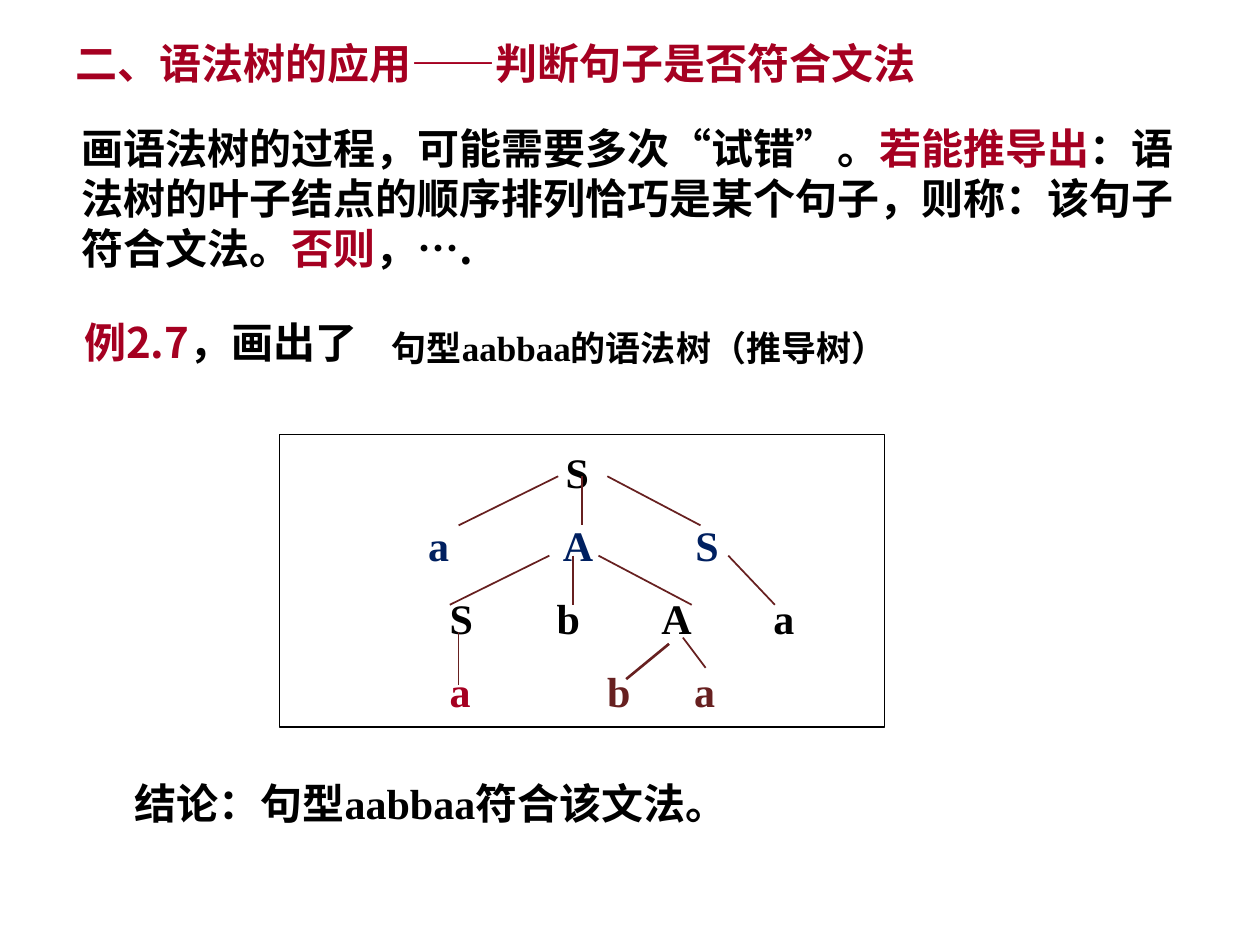
"""Build a slide that shows how a syntax tree decides whether a sentence fits a grammar."""
from lxml.etree import SubElement
from pptx import Presentation
from pptx.dml.color import RGBColor
from pptx.enum.shapes import MSO_CONNECTOR as Connector, MSO_SHAPE as Shape
from pptx.enum.text import MSO_ANCHOR as Anchor, PP_ALIGN as Align
from pptx.oxml.ns import qn
from pptx.util import Inches, Pt

BLACK = RGBColor(0x00, 0x00, 0x00)
RED = RGBColor(0xA5, 0x00, 0x21)
NAVY = RGBColor(0x00, 0x20, 0x60)
BROWN = RGBColor(0x67, 0x20, 0x20)

SANS = "Noto Sans CJK SC"
SERIF = "Times New Roman"
NARROW = "Arial Narrow"

WIDTH, HEIGHT = Inches(10), Inches(7.5)
COLUMNS, ROWS = 100, 75

TEXTS = [
    ((5, 2.5, 85, 5), NARROW, 24, [("二、语法树的应用——判断句子是否符合文法", RED)]),
    ((5.5, 9.2, 91.9, 13.1), SANS, 24, [
        ("画语法树的过程，可能需要多次“试错”。", BLACK),
        ("若能推导出", RED),
        ("：语法树的叶子结点的顺序排列恰巧是某个句子，则称：该句子符合文法。", BLACK),
        ("否则", RED),
        ("，….", BLACK),
    ]),
    ((5.7, 24.6, 91.9, 5), SANS, 24, [("例2.7", RED), ("，画出了", BLACK)]),
    ((30.1, 25.4, 45.9, 4.4), SERIF, 20, [("句型aabbaa的语法树（推导树）", BLACK)]),
    ((9.7, 61.2, 78.1, 5), SERIF, 24, [("结论：句型aabbaa符合该文法。", BLACK)]),
]

TREE_FRAME = (22.2, 34.5, 48, 23.2)
TREE_LEVELS = [
    [("S", 21.7, BLACK)],
    [("a", 10.8, NAVY), ("A", 21.5, NAVY), ("S", 32, NAVY)],
    [("S", 12.5, BLACK), ("b", 21, BLACK), ("A", 29.3, BLACK), ("a", 38.2, BLACK)],
    [("a", 12.5, RED), ("b", 25, BROWN), ("a", 31.9, BROWN)],
]

FAN_CENTRES = [(46.2, 37.8), (45.5, 44.1)]
FAN_SPREAD = [(-1.9, -9.8), (0, 0), (2, 9.4)]
FAN_DROP = 3.9
SINGLE_BRANCHES = [
    ((57.8, 44.1), (61.5, 48), 1),
    ((36.4, 50.2), (36.4, 54.4), 1),
    ((53.1, 51.1), (49.7, 53.9), 1.5),
    ((54.2, 50.6), (56, 53), 1),
]


def across(columns):
    """Return the length of a number of grid columns."""
    return round(WIDTH * columns / COLUMNS)


def down(rows):
    """Return the length of a number of grid rows."""
    return round(HEIGHT * rows / ROWS)


def place(area):
    """Turn a grid area into left, top, width and height."""
    left, top, width, height = area
    return across(left), down(top), across(width), down(height)


def add_span(para, text, color, font, size):
    """Add one bold run to a paragraph."""
    span = para.add_run()
    span.text = text
    span.font.name, span.font.size, span.font.bold = font, Pt(size), True
    span.font.color.rgb = color
    SubElement(span.font._element, qn("a:ea")).set("typeface", SANS)


def add_text(page, area, font, size, spans):
    """Add a wrapping text box made of coloured spans."""
    box = page.shapes.add_textbox(*place(area))
    box.text_frame.word_wrap = True
    for text, color in spans:
        add_span(box.text_frame.paragraphs[0], text, color, font, size)


def set_tabs(para, stops):
    """Give a paragraph left tab stops at grid columns."""
    tabs = SubElement(para._p.get_or_add_pPr(), qn("a:tabLst"))
    for stop in stops:
        tab = SubElement(tabs, qn("a:tab"))
        tab.set("pos", str(across(stop)))
        tab.set("algn", "l")


def add_tree_letters(page):
    """Add the framed box whose paragraphs are the levels of the tree."""
    box = page.shapes.add_shape(Shape.RECTANGLE, *place(TREE_FRAME))
    box.shadow.inherit = False
    box.fill.background()
    box.line.color.rgb = BLACK
    box.line.width = Pt(0.75)
    frame = box.text_frame
    frame.vertical_anchor = Anchor.TOP
    frame.margin_top = down(0.9)
    for index, level in enumerate(TREE_LEVELS):
        para = frame.add_paragraph() if index else frame.paragraphs[0]
        para.alignment = Align.LEFT
        para.space_before = Pt(13 if index else 0)
        set_tabs(para, [stop for _, stop, _ in level])
        for letter, _, color in level:
            add_span(para, "\t" + letter, color, SERIF, 24)


def add_branch(page, start, end, weight=1):
    """Draw one branch of the tree between two grid points."""
    branch = page.shapes.add_connector(
        Connector.STRAIGHT, across(start[0]), down(start[1]), across(end[0]), down(end[1]))
    branch.line.color.rgb = BROWN
    branch.line.width = Pt(weight)
    SubElement(branch._element.spPr, qn("a:effectLst"))


def add_fan(page, x, y):
    """Draw three branches that spread from one node."""
    for near, far in FAN_SPREAD:
        add_branch(page, (x + near, y), (x + far, y + FAN_DROP))


def main():
    """Assemble and save the deck."""
    deck = Presentation()
    deck.slide_width, deck.slide_height = WIDTH, HEIGHT
    page = deck.slides.add_slide(deck.slide_layouts[6])
    for text in TEXTS:
        add_text(page, *text)
    add_tree_letters(page)
    for centre in FAN_CENTRES:
        add_fan(page, *centre)
    for branch in SINGLE_BRANCHES:
        add_branch(page, *branch)
    deck.save("out.pptx")


if __name__ == "__main__":
    main()
